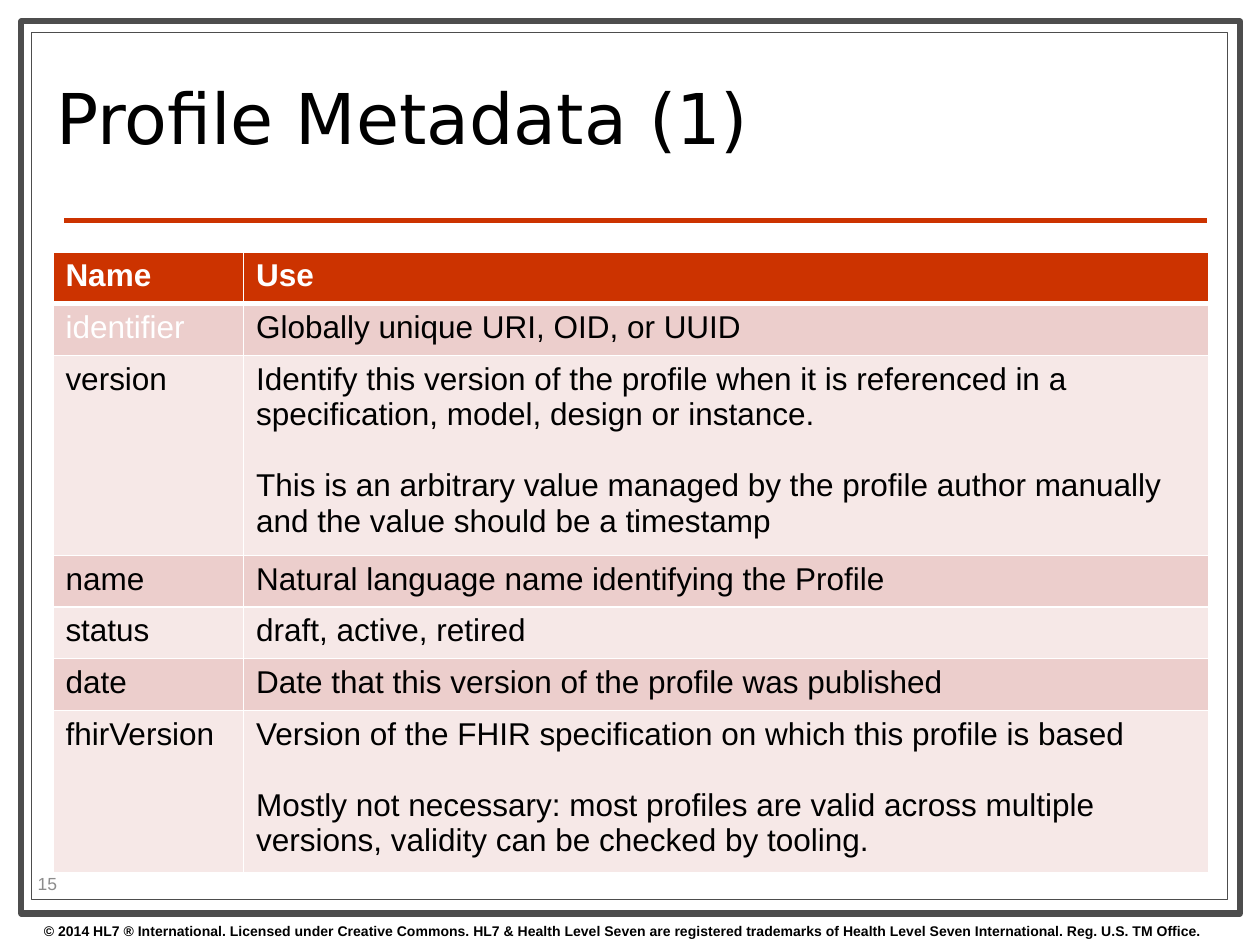
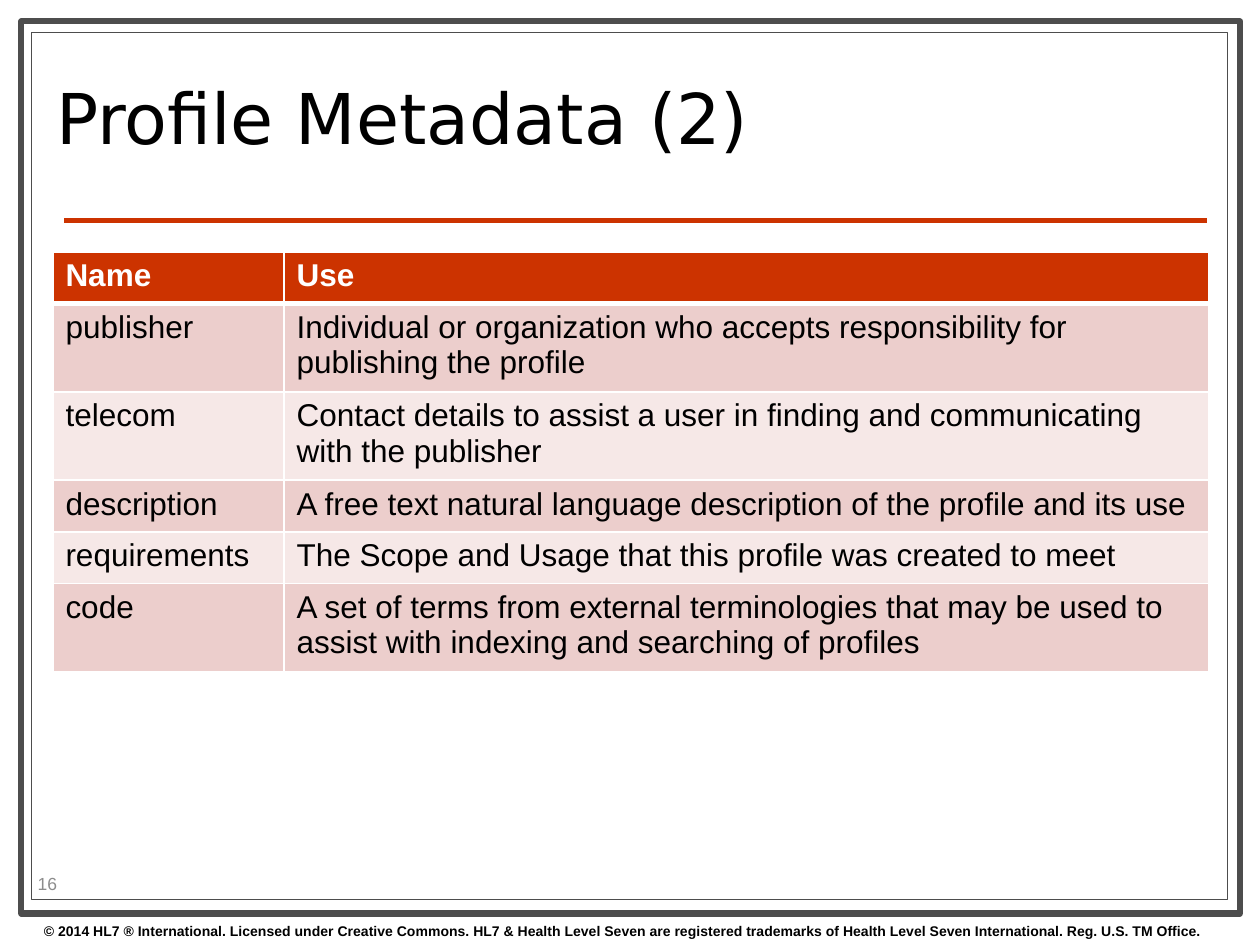
from pptx import Presentation
from pptx.dml.color import RGBColor
from pptx.enum import shapes, text
from pptx.oxml import parse_xml
from pptx.oxml.ns import nsdecls
from pptx.util import Inches, Pt

COLORS = {
    "paper": "FFFFFF", "ink": "000000", "frame": "4D4D4D", "accent": "CC3300",
    "band_dark": "ECCECC", "band_light": "F6E8E7", "muted": "8C8C8C",
}
BODY_FONT, TITLE_FONT = "Arial", "DejaVu Sans"
COPYRIGHT = (
    "© 2014 HL7 ® International. Licensed under Creative Commons. "
    "HL7 & Health Level Seven are registered trademarks of "
    "Health Level Seven International. Reg. U.S. TM Office."
)
HEADER = ("Name", ["Use"])
SLIDES = [
    {
        "title": "Profile Metadata (1)",
        "number": 15,
        "name_share": 0.165,
        "pale_names": {"identifier"},
        "fields": [
            ("identifier", ["Globally unique URI, OID, or UUID"]),
            ("version", [
                "Identify this version of the profile when it is referenced in a "
                "specification, model, design or instance.",
                "This is an arbitrary value managed by the profile author manually "
                "and the value should be a timestamp",
            ]),
            ("name", ["Natural language name identifying the Profile"]),
            ("status", ["draft, active, retired"]),
            ("date", ["Date that this version of the profile was published"]),
            ("fhirVersion", [
                "Version of the FHIR specification on which this profile is based",
                "Mostly not necessary: most profiles are valid across multiple "
                "versions, validity can be checked by tooling.",
            ]),
        ],
    },
    {
        "title": "Profile Metadata (2)",
        "number": 16,
        "name_share": 0.2,
        "pale_names": set(),
        "fields": [
            ("publisher", ["Individual or organization who accepts responsibility "
                           "for publishing the profile"]),
            ("telecom", ["Contact details to assist a user in finding and "
                         "communicating with the publisher"]),
            ("description", ["A free text natural language description of the "
                             "profile and its use"]),
            ("requirements", ["The Scope and Usage that this profile was created "
                              "to meet"]),
            ("code", ["A set of terms from external terminologies that may be used "
                      "to assist with indexing and searching of profiles"]),
        ],
    },
]

WIDTH, HEIGHT = 10, 7.5
FRAMES = [((0.17, 0.17, 9.67, 7.08), 3.5), ((0.25, 0.26, 9.49, 6.88), 0.75)]
RULE_LEFT, RULE_RIGHT, RULE_TOP = 0.51, 9.58, 1.75
TITLE_BOX = (0.35, 0.36, 7.17, 1.26)
NUMBER_BOX = (0.2, 6.89, 0.79, 0.24)
COPYRIGHT_BOX = (0.25, 7.27, 10, 0.23)
TABLE_LEFT, TABLE_TOP, TABLE_WIDTH, ROW_HEIGHT = 0.42, 2, 9.17, 0.41
PARAGRAPH_GAP = 20.7


def rgb(name):
    return RGBColor.from_string(COLORS[name])


def box(values):
    return [Inches(v) for v in values]


def style(p, size, color, bold=False, font=BODY_FONT):
    for r in p.runs:
        r.font.name = font
        r.font.size = Pt(size)
        r.font.bold = bold
        r.font.color.rgb = rgb(color)


def add_text(s, area, words, size, color, anchor=text.MSO_ANCHOR.TOP, **kw):
    tf = s.shapes.add_textbox(*box(area)).text_frame
    tf.word_wrap = True
    tf.vertical_anchor = anchor
    tf.text = words
    style(tf.paragraphs[0], size, color, **kw)
    return tf


def add_page(prs, title, number):
    s = prs.slides.add_slide(prs.slide_layouts[6])
    s.background.fill.solid()
    s.background.fill.fore_color.rgb = rgb("paper")
    for area, weight in FRAMES:
        sp = s.shapes.add_shape(shapes.MSO_SHAPE.RECTANGLE, *box(area))
        sp.shadow.inherit = False
        sp.fill.solid()
        sp.fill.fore_color.rgb = rgb("paper")
        sp.line.color.rgb = rgb("frame")
        sp.line.width = Pt(weight)
    rule = s.shapes.add_connector(
        shapes.MSO_CONNECTOR.STRAIGHT,
        *box((RULE_LEFT, RULE_TOP, RULE_RIGHT, RULE_TOP)))
    rule.line.color.rgb = rgb("accent")
    rule.line.width = Pt(3)
    rule._element.spPr.append(parse_xml(f"<a:effectLst {nsdecls('a')}/>"))
    add_text(s, COPYRIGHT_BOX, COPYRIGHT, 8, "ink", bold=True)
    tf = add_text(s, TITLE_BOX, title, 40, "ink", text.MSO_ANCHOR.MIDDLE,
                  font=TITLE_FONT)
    tf.paragraphs[0].line_spacing = 0.8
    add_text(s, NUMBER_BOX, str(number), 10, "muted", text.MSO_ANCHOR.MIDDLE)
    return s


def set_borders(cell, top, bottom):
    tcPr = cell._tc.get_or_add_tcPr()
    edges = [("L", 1), ("R", 1), ("T", top), ("B", bottom)]
    for i, (side, weight) in enumerate(edges):
        tcPr.insert(i, parse_xml(
            f'<a:ln{side} {nsdecls("a")} w="{Pt(weight)}"><a:solidFill>'
            f'<a:srgbClr val="{COLORS["paper"]}"/></a:solidFill></a:ln{side}>'))


def fill_cell(cell, paragraphs, row, color):
    cell.fill.solid()
    band = "band_dark" if row % 2 else "band_light"
    cell.fill.fore_color.rgb = rgb(band if row else "accent")
    set_borders(cell, 3 if row == 1 else 1, 1 if row else 3)
    tf = cell.text_frame
    tf.text = "\n".join(paragraphs)
    for i, p in enumerate(tf.paragraphs):
        if i:
            p.space_before = Pt(PARAGRAPH_GAP)
        style(p, 18, color, bold=row == 0)


def add_field_table(s, fields, name_share, pale_names):
    rows = [HEADER] + fields
    table = s.shapes.add_table(
        len(rows), 2,
        *box((TABLE_LEFT, TABLE_TOP, TABLE_WIDTH, ROW_HEIGHT * len(rows)))).table
    for column, share in zip(table.columns, (name_share, 1 - name_share)):
        column.width = Inches(TABLE_WIDTH * share)
    for row, (name, use) in enumerate(rows):
        table.rows[row].height = Inches(ROW_HEIGHT)
        use_color = "ink" if row else "paper"
        name_color = "paper" if name in pale_names else use_color
        fill_cell(table.cell(row, 0), [name], row, name_color)
        fill_cell(table.cell(row, 1), use, row, use_color)


def main():
    prs = Presentation()
    prs.slide_width, prs.slide_height = Inches(WIDTH), Inches(HEIGHT)
    for page in SLIDES:
        s = add_page(prs, page["title"], page["number"])
        add_field_table(s, page["fields"], page["name_share"], page["pale_names"])
    prs.save("out.pptx")


if __name__ == "__main__":
    main()
